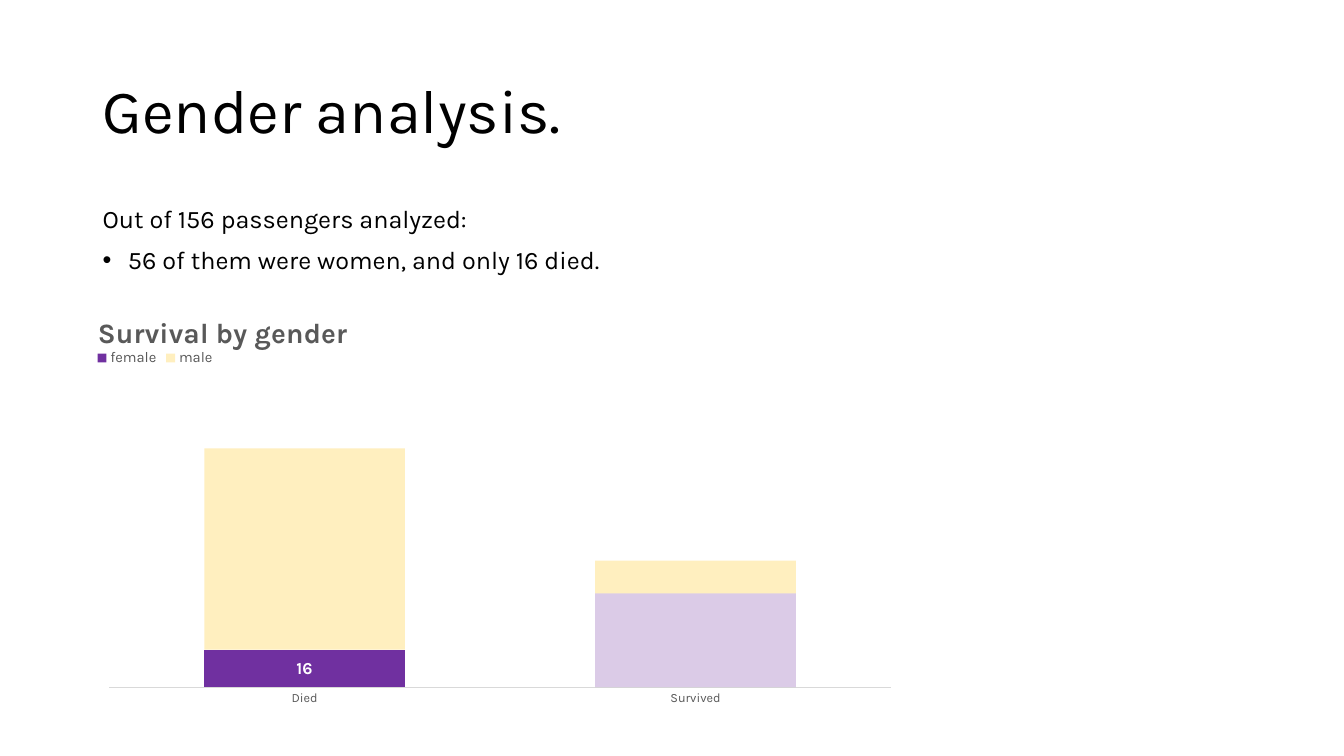
from lxml import etree
from pptx import Presentation
from pptx.chart.data import CategoryChartData as Data
from pptx.dml.color import RGBColor as RGB
from pptx.enum.chart import XL_CHART_TYPE as Kind, XL_LEGEND_POSITION as Pos, XL_TICK_MARK as Tick
from pptx.enum.text import MSO_ANCHOR as Anchor
from pptx.oxml import parse_xml
from pptx.oxml.ns import qn
from pptx.util import Inches, Pt

HUES = {"ink": "000000", "gray": "595959", "rule": "D9D9D9",
        "female": "7030A0", "male": "FFC000", "white": "FFFFFF"}
FACE = "Karla"
NS = "http://schemas.openxmlformats.org/drawingml/2006/chart"


def style(font, size, hue, bold=False):
    font.name, font.size, font.bold = FACE, Pt(size), bold
    font.color.rgb = RGB.from_string(HUES[hue])


def place(node, spot, **box):
    for old in node.findall(qn("c:layout")):
        node.remove(old)
    inner = '<c:layoutTarget val="inner"/>' if "w" in box else ""
    modes = "".join(f'<c:{key}Mode val="edge"/>' for key in "xy")
    sides = "".join(f'<c:{key} val="{val}"/>' for key, val in box.items())
    node.insert(spot, parse_xml(
        f'<c:layout xmlns:c="{NS}"><c:manualLayout>{inner}{modes}{sides}'
        '</c:manualLayout></c:layout>'))


deck = Presentation()
deck.slide_width, deck.slide_height = Inches(13.33), Inches(7.5)
slide = deck.slides.add_slide(deck.slide_layouts[6])
left, wide = Inches(0.92), Inches(11.5)

texts = [
    (0.4, 1.45, Anchor.MIDDLE, 44, 0, [("Gender analysis.", False)]),
    (2, 4.76, Anchor.TOP, 18, 10, [
        ("Out of 156 passengers analyzed:", False),
        ("56 of them were women, and only 16 died.", True)]),
]
for top, high, anchor, size, gap, lines in texts:
    frame = slide.shapes.add_textbox(left, Inches(top), wide, Inches(high)).text_frame
    frame.word_wrap = True
    frame.vertical_anchor = anchor
    for row, (words, dot) in enumerate(lines):
        para = frame.add_paragraph() if row else frame.paragraphs[0]
        para.line_spacing = 0.9
        para.space_before = Pt(gap)
        run = para.add_run()
        run.text = words
        style(run.font, size, "ink")
        if dot:
            props = para._p.get_or_add_pPr()
            props.set("marL", str(Inches(0.25)))
            props.set("indent", str(-Inches(0.25)))
            etree.SubElement(props, qn("a:buFont"), typeface="Arial")
            etree.SubElement(props, qn("a:buChar"), char="•")

data = Data()
data.categories = ["Died", "Survived"]
data.add_series("female", [16, 40])
data.add_series("male", [86, 14])
chart = slide.shapes.add_chart(
    Kind.COLUMN_STACKED, left, Inches(3.06), Inches(8.08), Inches(4.04), data).chart
style(chart.font, 10, "ink")

chart.has_title = True
run = chart.chart_title.text_frame.paragraphs[0].add_run()
run.text = "Survival by gender"
style(run.font, 20, "gray", True)
place(chart.chart_title._element, 1, x=0, y=0)

chart.has_legend = True
chart.legend.position = Pos.TOP
chart.legend.include_in_layout = False
style(chart.legend.font, 10.5, "gray")
place(chart.legend._element, 1, x=0, y=0.09)
place(chart._chartSpace.chart.plotArea, 0, x=0.02, y=0.24, w=0.96, h=0.69)

cats, vals = chart.category_axis, chart.value_axis
cats.major_tick_mark = Tick.NONE
style(cats.tick_labels.font, 9, "gray")
cats.format.line.color.rgb = RGB.from_string(HUES["rule"])
cats.format.line.width = Pt(0.75)
vals.visible = False
vals.has_major_gridlines = False
vals.minimum_scale, vals.maximum_scale = 0, 120

plot = chart.plots[0]
plot.gap_width, plot.overlap = 95, 100
plot.vary_by_categories = False
women, men = plot.series
for part, hue, faint in [(women, "female", False),
                         (women.points[1], "female", True),
                         (men, "male", True)]:
    fill = part.format.fill
    fill.solid()
    fill.fore_color.rgb = RGB.from_string(HUES[hue])
    if faint:
        tint = part.format._element.find(".//" + qn("a:srgbClr"))
        etree.SubElement(tint, qn("a:alpha"), val="25000")

marks = women.data_labels
marks.show_value = True
style(marks.font, 12, "white", True)
marks._element.insert(0, parse_xml(
    f'<c:dLbl xmlns:c="{NS}"><c:idx val="1"/><c:delete val="1"/></c:dLbl>'))

deck.save("out.pptx")
